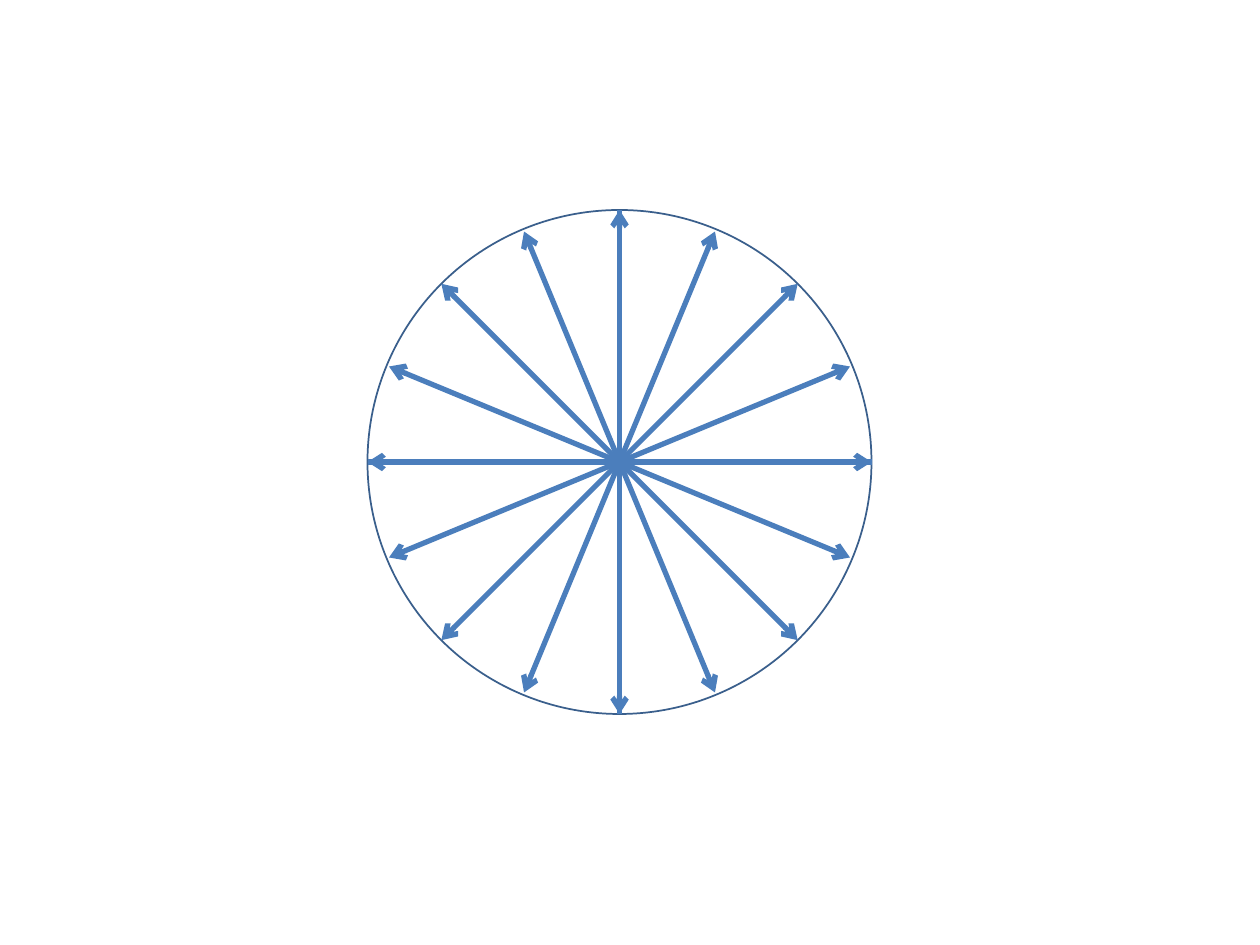
from math import cos, radians, sin

from lxml import etree
from pptx import Presentation
from pptx.dml.color import RGBColor
from pptx.enum.shapes import MSO_CONNECTOR, MSO_SHAPE
from pptx.oxml.ns import qn
from pptx.util import Inches, Pt

OUTLINE = RGBColor(0x3A, 0x5F, 0x8C)
SPOKE = RGBColor(0x4B, 0x7E, 0xBC)

deck = Presentation()
deck.slide_width = Inches(10)
deck.slide_height = Inches(7.5)
page = deck.slides.add_slide(deck.slide_layouts[6])

center_x = deck.slide_width * 0.4917
center_y = deck.slide_height * 0.4889
radius = deck.slide_width * 0.2
short_radius = radius * 0.99


def add_spoke(start_x, start_y, end_x, end_y, arrow):
    spoke = page.shapes.add_connector(
        MSO_CONNECTOR.STRAIGHT, round(start_x), round(start_y), round(end_x), round(end_y)
    )
    spoke.line.color.rgb = SPOKE
    spoke.line.width = Pt(3)
    if arrow:
        etree.SubElement(spoke.line._get_or_add_ln(), qn("a:tailEnd"), type="arrow")
    etree.SubElement(spoke._element.spPr, qn("a:effectLst"))


circle = page.shapes.add_shape(
    MSO_SHAPE.OVAL,
    round(center_x - radius),
    round(center_y - radius),
    round(2 * radius),
    round(2 * radius),
)
circle.shadow.inherit = False
circle.fill.background()
circle.line.color.rgb = OUTLINE
circle.line.width = Pt(1)

add_spoke(center_x - radius, center_y, center_x + radius, center_y, False)
add_spoke(center_x, center_y - radius, center_x, center_y + radius, False)

for first_angle, length in ((0, radius), (22.5, short_radius)):
    for step in range(8):
        angle = radians(first_angle + 45 * step)
        add_spoke(
            center_x,
            center_y,
            center_x + length * cos(angle),
            center_y - length * sin(angle),
            True,
        )

deck.save("out.pptx")
